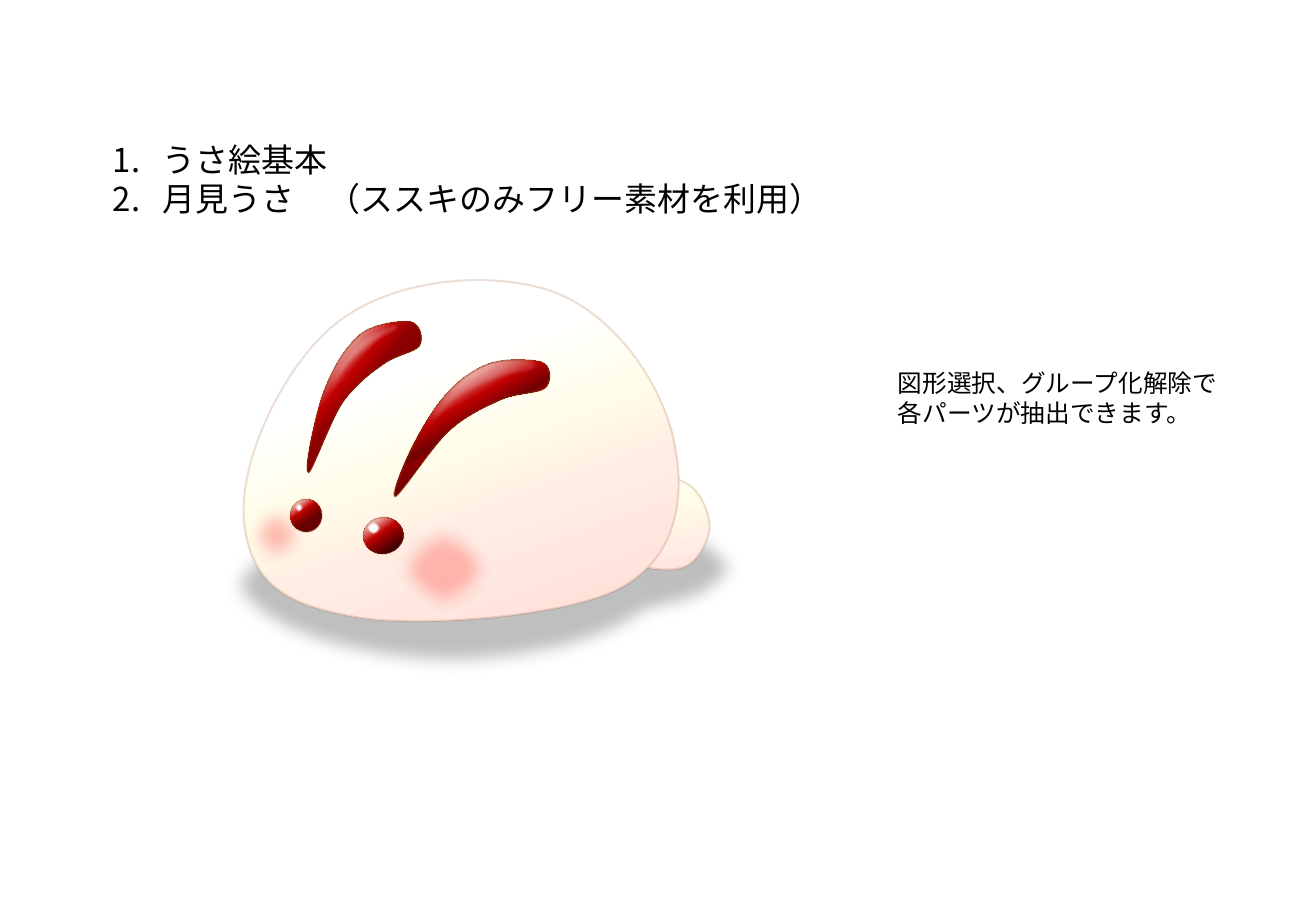
import math
from dataclasses import dataclass

from lxml import etree
from pptx import Presentation, util as u
from pptx.dml.color import RGBColor
from pptx.enum import lang, shapes, text
from pptx.oxml import ns


@dataclass(frozen=True)
class Theme:
    font: str = "Calibri"
    ink: str = "000000"
    list_size: float = 19.5
    note_size: float = 14.6
    shadow: str = "BFBFBF"
    cheek: str = "FF7E79"
    white: str = "FFFFFF"
    outline: str = "843C0B"
    # Gradient stops: (position in percent, colour)
    tail: tuple = ((9, "FFE1DA"), (29, "FFEDE4"), (68, "FFFDE9"), (97, "FFFFFF"))
    body: tuple = ((9, "FFE1DA"), (34, "FFEDE4"), (51, "FFFDE9"), (70, "FFFFFF"))
    left_ear: tuple = ((33, "720102"), (53, "8C0001"), (61, "C00000"),
                       (75, "FFEDE4"), (100, "FFFFFF"))
    right_ear: tuple = ((41, "720102"), (49, "8C0001"), (52, "720102"),
                        (63, "C00000"), (79, "FFEDE4"), (100, "FFFFFF"))
    left_eye: tuple = ((38, "680101"), (50, "8C0001"), (63, "C00000"),
                       (87, "FFEDE4"), (100, "FFFFFF"))
    right_eye: tuple = ((20, "3B0001"), (44, "8C0001"), (57, "C00000"),
                        (87, "FFEDE4"), (100, "FFFFFF"))


T = Theme()
EYE_TILT = 354.8

# Outlines as they stand after tilting: a start point, then two controls and
# an end point per curve, in inches from the corner of the rabbit's box.
TAIL = [(4.1, 2.41), (4.11, 2.25), (4.23, 2.04), (4.32, 1.97),
        (4.41, 1.9), (4.54, 1.92), (4.65, 1.98), (4.76, 2.04), (4.84, 2.22), (4.84, 2.33),
        (4.84, 2.44), (4.75, 2.61), (4.65, 2.66), (4.56, 2.71), (4.34, 2.69), (4.25, 2.65),
        (4.16, 2.61), (4.09, 2.56), (4.1, 2.41)]
BODY = [(1.01, 2.31), (0.95, 1.78), (1.36, 0.98), (1.77, 0.66),
        (2.17, 0.34), (2.88, 0.22), (3.45, 0.37), (4.03, 0.52), (4.46, 1.17), (4.55, 1.65),
        (4.65, 2.13), (4.55, 2.6), (4.11, 2.84), (3.67, 3.08), (2.44, 3.17), (1.93, 3.08),
        (1.41, 2.99), (1.07, 2.84), (1.01, 2.31)]
LEFT_EAR = [(1.54, 1.89), (1.5, 1.9), (1.57, 1.53), (1.65, 1.27),
            (1.74, 1.02), (1.84, 0.87), (1.96, 0.76), (2.08, 0.66), (2.3, 0.64), (2.38, 0.65),
            (2.46, 0.67), (2.49, 0.79), (2.45, 0.85), (2.41, 0.9), (2.26, 0.92), (2.15, 1),
            (2.05, 1.07), (1.93, 1.16), (1.82, 1.31), (1.72, 1.46), (1.57, 1.88), (1.54, 1.89)]
RIGHT_EAR = [(2.25, 2.09), (2.21, 2.09), (2.35, 1.73), (2.5, 1.49),
             (2.64, 1.25), (2.79, 1.11), (2.95, 1.03), (3.1, 0.94), (3.36, 0.96), (3.45, 0.98),
             (3.54, 1.01), (3.54, 1.14), (3.49, 1.19), (3.44, 1.24), (3.26, 1.23), (3.12, 1.29),
             (2.99, 1.35), (2.83, 1.42), (2.69, 1.55), (2.54, 1.69), (2.29, 2.09), (2.25, 2.09)]
LEFT_GLOSS = [(1.67, 1.44), (1.64, 1.46), (1.67, 1.26), (1.72, 1.12),
              (1.77, 0.98), (1.84, 0.88), (1.92, 0.8), (2.01, 0.72), (2.18, 0.66), (2.24, 0.64),
              (2.3, 0.63), (2.33, 0.68), (2.31, 0.72), (2.28, 0.76), (2.16, 0.8), (2.09, 0.87),
              (2.01, 0.93), (1.92, 1), (1.85, 1.1), (1.78, 1.19), (1.69, 1.43), (1.67, 1.44)]
RIGHT_GLOSS = [(2.42, 1.68), (2.39, 1.68), (2.49, 1.46), (2.61, 1.31),
               (2.72, 1.15), (2.83, 1.06), (2.96, 1), (3.09, 0.94), (3.3, 0.93), (3.38, 0.94),
               (3.46, 0.95), (3.47, 1.03), (3.42, 1.06), (3.38, 1.1), (3.23, 1.1), (3.12, 1.15),
               (3.01, 1.19), (2.88, 1.24), (2.77, 1.33), (2.65, 1.42), (2.46, 1.68), (2.42, 1.68)]


def add_xml(parent, tag, **attrs):
    return etree.SubElement(parent, ns.qn(tag), {k: str(v) for k, v in attrs.items()})


def set_solid(fill, color, opacity=100):
    fill.solid()
    fill.fore_color.rgb = RGBColor.from_string(color)
    if opacity < 100:
        clr = fill._xPr.find(".//" + ns.qn("a:srgbClr"))
        add_xml(clr, "a:alpha", val=opacity * 1000)


def set_gradient(fill, stops, angle):
    """Angle is clockwise, in degrees."""
    fill.gradient()
    fill.gradient_angle = 360 - angle
    gs_list = fill._xPr.find(".//" + ns.qn("a:gsLst"))
    for gs in list(gs_list):
        gs_list.remove(gs)
    for pos, color in stops:
        gs = add_xml(gs_list, "a:gs", pos=pos * 1000)
        add_xml(gs, "a:srgbClr", val=color)


def paint(sp, color=None, opacity=100, stops=None, angle=240, line=None, soft=0, tilt=0):
    """Line is (width in points, opacity); soft is the edge radius in points."""
    sp.rotation = tilt
    if stops:
        set_gradient(sp.fill, stops, angle)
    else:
        set_solid(sp.fill, color, opacity)
    if line:
        sp.line.width = u.Pt(line[0])
        set_solid(sp.line.fill, T.outline, line[1])
    else:
        sp.line.fill.background()
    sp.shadow.inherit = False
    if soft:
        effects = sp._element.spPr.find(ns.qn("a:effectLst"))
        add_xml(effects, "a:softEdge", rad=u.Pt(soft))


def untilt(points, box, tilt):
    """Points turned back by tilt about the centre of the box."""
    x, y, w, h = box
    cx, cy = x + w / 2, y + h / 2
    cos, sin = math.cos(math.radians(tilt)), math.sin(math.radians(tilt))
    return [(cx + (px - cx) * cos + (py - cy) * sin,
             cy - (px - cx) * sin + (py - cy) * cos) for px, py in points]


def bend(sp, box):
    """Turn each three line segments into one cubic curve and frame them by box."""
    outline = sp._element.find(".//" + ns.qn("a:path"))
    dx, dy = sp.left - box[0], sp.top - box[1]
    for pt in outline.iter(ns.qn("a:pt")):
        pt.set("x", str(int(pt.get("x")) + dx))
        pt.set("y", str(int(pt.get("y")) + dy))
    segments = outline.findall(ns.qn("a:lnTo"))
    for i in range(0, len(segments), 3):
        cubic = etree.Element(ns.qn("a:cubicBezTo"))
        segments[i].addprevious(cubic)
        for seg in segments[i:i + 3]:
            cubic.append(seg[0])
            outline.remove(seg)
    sp.left, sp.top, sp.width, sp.height = box
    outline.set("w", str(box[2]))
    outline.set("h", str(box[3]))


def draw_rabbit(s, left, top):
    group = s.shapes.add_group_shape()

    def place(x, y, w, h):
        return [u.Inches(v) for v in (left + x, top + y, w, h)]

    def oval(*box, **look):
        paint(group.shapes.add_shape(shapes.MSO_SHAPE.OVAL, *place(*box)), **look)

    def curve(points, *box, tilt=0, **look):
        first, *rest = [(u.Inches(left + x), u.Inches(top + y))
                        for x, y in untilt(points, box, tilt)]
        builder = group.shapes.build_freeform(*first)
        builder.add_line_segments(rest, close=True)
        sp = builder.convert_to_shape()
        bend(sp, place(*box))
        paint(sp, tilt=tilt, **look)

    shadow = dict(color=T.shadow, soft=10)
    oval(3.7, 2.23, 1.46, 0.89, **shadow)
    oval(0.81, 2.06, 3.82, 1.5, **shadow)

    skin = dict(angle=250, line=(1.25, 15))
    curve(TAIL, 4.12, 1.93, 0.72, 0.77, tilt=8.7, stops=T.tail, **skin)
    curve(BODY, 1, 0.31, 3.58, 2.81, stops=T.body, **skin)

    cheek = dict(color=T.cheek, opacity=51, soft=10)
    oval(0.96, 2.06, 0.64, 0.68, **cheek)
    oval(2.2, 2.26, 0.91, 0.83, **cheek)

    ear = dict(line=(1, 40))
    curve(LEFT_EAR, 1.44, 0.7, 1.1, 1.11, tilt=350.9, stops=T.left_ear, angle=230, **ear)
    curve(RIGHT_EAR, 2.24, 0.96, 1.28, 1.13, stops=T.right_ear, **ear)

    eye = dict(line=(1, 26), tilt=EYE_TILT)
    oval(1.39, 2.11, 0.26, 0.27, stops=T.left_eye, **eye)
    oval(1.99, 2.26, 0.33, 0.3, stops=T.right_eye, **eye)

    glint = dict(color=T.white, soft=1, tilt=EYE_TILT)
    oval(2.02, 2.29, 0.11, 0.11, **glint)
    oval(1.42, 2.14, 0.08, 0.08, **glint)

    gloss = dict(color=T.white, soft=2.5)
    curve(LEFT_GLOSS, 1.52, 0.77, 0.9, 0.52, tilt=337, opacity=26, **gloss)
    curve(RIGHT_GLOSS, 2.39, 0.97, 1.08, 0.67, tilt=355.7, opacity=18, **gloss)


def add_lines(s, box, lines, size, numbered=False):
    tf = s.shapes.add_textbox(*map(u.Inches, box)).text_frame
    tf.word_wrap = False
    tf.auto_size = text.MSO_AUTO_SIZE.SHAPE_TO_FIT_TEXT
    look = dict(name=T.font, size=u.Pt(size), language_id=lang.MSO_LANGUAGE_ID.JAPANESE)
    for i, line in enumerate(lines):
        p = tf.paragraphs[0] if i == 0 else tf.add_paragraph()
        if numbered:
            pPr = p._p.get_or_add_pPr()
            indent = u.Inches(0.41)
            pPr.set("marL", str(indent))
            pPr.set("indent", str(-indent))
            add_xml(pPr, "a:buFont", typeface="+mj-lt")
            add_xml(pPr, "a:buAutoNum", type="arabicPeriod")
        r = p.add_run()
        r.text = line
        for key, value in look.items():
            setattr(r.font, key, value)
        r.font.color.rgb = RGBColor.from_string(T.ink)


def main():
    prs = Presentation()
    prs.slide_width, prs.slide_height = u.Inches(10.83), u.Inches(7.5)
    s = prs.slides.add_slide(prs.slide_layouts[6])
    draw_rabbit(s, 1, 2)
    add_lines(s, (0.83, 1.1, 6.08, 0.76),
              ["うさ絵基本", "月見うさ　（ススキのみフリー素材を利用）"],
              T.list_size, numbered=True)
    add_lines(s, (7.29, 2.98, 2.87, 0.59),
              ["図形選択、グループ化解除で", "各パーツが抽出できます。"], T.note_size)
    prs.save("out.pptx")


if __name__ == "__main__":
    main()
